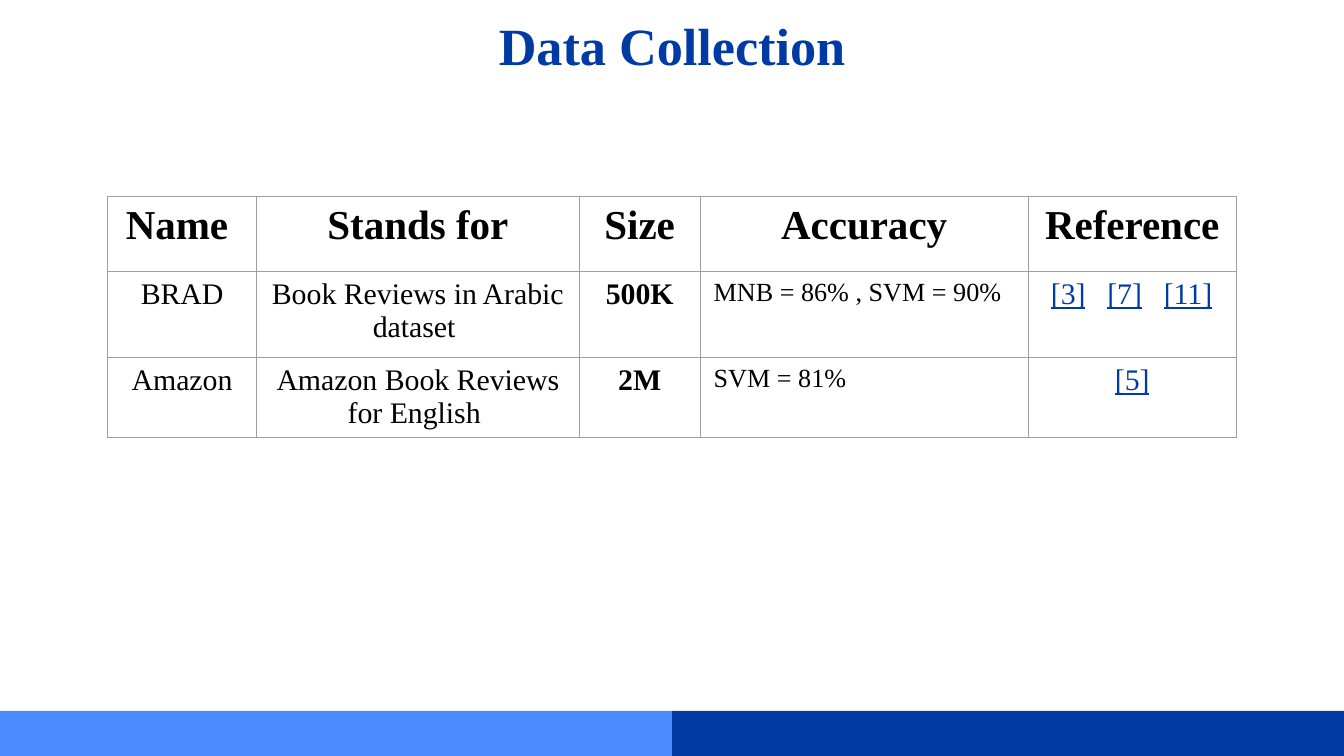
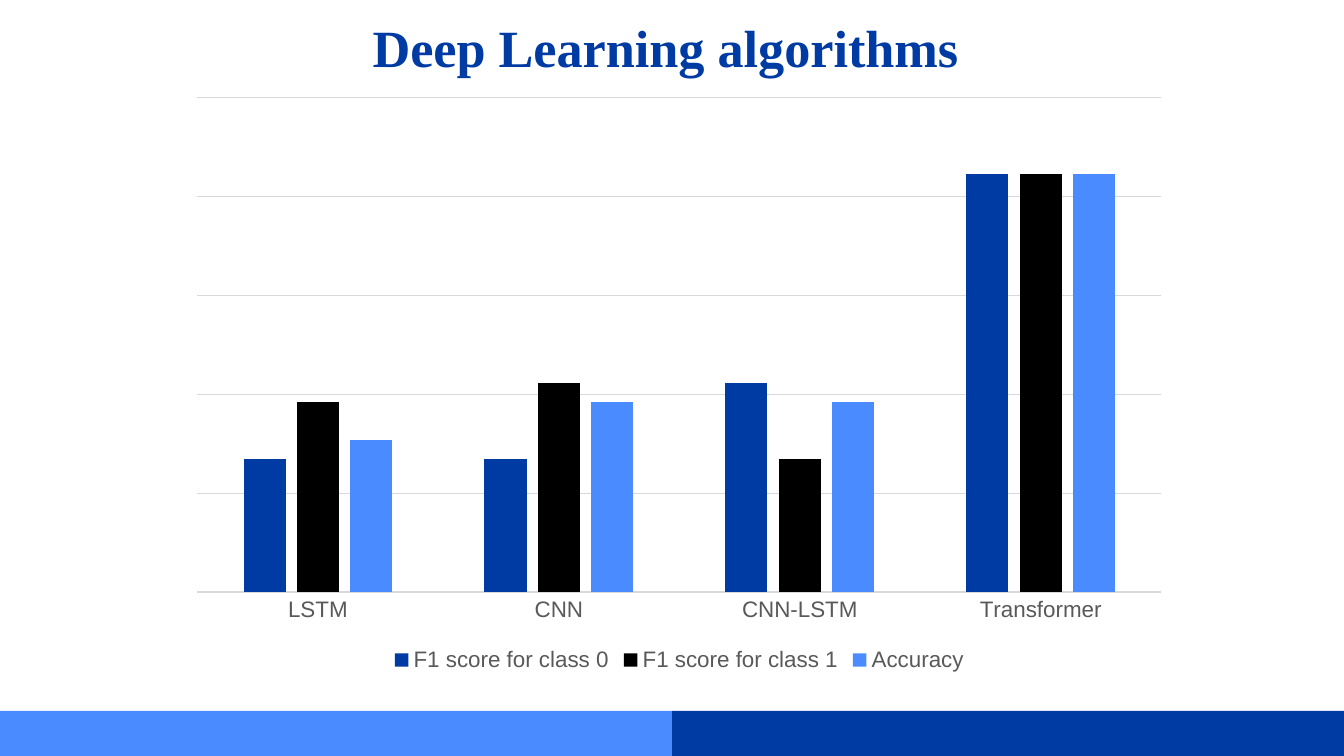
"""Build two slides: a data collection table and a deep learning score chart."""
from pptx import Presentation
from pptx.chart.data import CategoryChartData
from pptx.dml.color import RGBColor
from pptx.enum.chart import XL_CHART_TYPE as ChartType
from pptx.enum.chart import XL_LEGEND_POSITION as LegendPosition
from pptx.enum.chart import XL_TICK_LABEL_POSITION as LabelPosition
from pptx.enum.chart import XL_TICK_MARK as TickMark
from pptx.enum.shapes import MSO_SHAPE as Shape
from pptx.enum.text import MSO_ANCHOR as Anchor
from pptx.enum.text import MSO_AUTO_SIZE as AutoSize
from pptx.enum.text import PP_ALIGN as Align
from pptx.oxml import parse_xml
from pptx.oxml.ns import nsdecls
from pptx.util import Inches, Pt

NAVY = RGBColor(0x00, 0x3B, 0xA3)
SKY = RGBColor(0x4A, 0x8C, 0xFF)
BLACK = RGBColor(0x00, 0x00, 0x00)
LABEL_GRAY = RGBColor(0x59, 0x59, 0x59)
GRID_GRAY = RGBColor(0xD9, 0xD9, 0xD9)
BORDER_GRAY = RGBColor(0x9E, 0x9E, 0x9E)

SERIF = "Times New Roman"
SANS = "Arial"
SLIDE_WIDTH = 10
SLIDE_HEIGHT = SLIDE_WIDTH * 9 / 16
BAND_TOP = 5.29

COLUMN_WIDTHS = [1.11, 2.4, 0.9, 2.44, 1.55]
ROW_HEIGHTS = [0.56, 0.64, 0.55]
HEADERS = ["Name ", "Stands for", "Size", "Accuracy", "Reference"]
DATASETS = [
    ["BRAD", "Book Reviews in Arabic dataset ", "500K",
     "MNB = 86% , SVM = 90%", ["[3]", "[7]", "[11]"]],
    ["Amazon", "Amazon Book Reviews for English ", "2M", "SVM = 81%", ["[5]"]],
]
COLUMN_FORMATS = [
    {"size": 16},
    {"size": 16},
    {"size": 16, "bold": True},
    {"size": 14, "align": Align.LEFT},
]
REFERENCE_STEP = 0.42

ALGORITHMS = ["LSTM", "CNN", "CNN-LSTM", "Transformer"]
SCORES = [
    ("F1 score for class 0", [85, 85, 89, 100], NAVY),
    ("F1 score for class 1", [88, 89, 85, 100], BLACK),
    ("Accuracy", [86, 88, 88, 100], SKY),
]
LOWEST, HIGHEST, GRID_ROWS = 78, 104, 5


def set_font(font, size, color, name=SERIF, bold=False, underline=False):
    """Set every font property the slides use."""
    font.name = name
    font.size = Pt(size)
    font.color.rgb = color
    font.bold = bold
    font.underline = underline


def add_text(paragraph, text, size=16, color=BLACK, bold=False,
             underline=False, align=Align.CENTER):
    """Add a formatted run to a paragraph."""
    paragraph.alignment = align
    run = paragraph.add_run()
    run.text = text
    set_font(run.font, size, color, bold=bold, underline=underline)


def add_bands(slide):
    """Put the two footer bands on the layout of the slide."""
    half = SLIDE_WIDTH / 2
    for left, color in ((half, NAVY), (0, SKY)):
        band = slide.shapes.add_shape(
            Shape.RECTANGLE, Inches(left), Inches(BAND_TOP),
            Inches(half), Inches(SLIDE_HEIGHT - BAND_TOP))
        band.shadow.inherit = False
        band.fill.solid()
        band.fill.fore_color.rgb = color
        band.line.fill.background()
        slide.slide_layout.shapes.element.append(band.element)


def add_title(slide, text, top=0.0):
    """Fill and place the title placeholder."""
    title = slide.shapes.title
    title.left, title.top = Inches(0), Inches(top)
    title.width, title.height = Inches(SLIDE_WIDTH), Inches(0.63)
    frame = title.text_frame
    frame.auto_size = AutoSize.NONE
    frame.word_wrap = True
    frame.vertical_anchor = Anchor.TOP
    frame.margin_left = frame.margin_right = Inches(0.1)
    frame.margin_top = frame.margin_bottom = Inches(0.1)
    add_text(frame.paragraphs[0], text, size=28, color=NAVY, bold=True)


def style_cell(cell):
    """Give a cell thin gray borders and no fill."""
    properties = cell._tc.get_or_add_tcPr()
    for side in ("lnL", "lnR", "lnT", "lnB"):
        properties.append(parse_xml(
            f'<a:{side} {nsdecls("a")} w="{Pt(0.75)}"><a:solidFill>'
            f'<a:srgbClr val="{BORDER_GRAY}"/></a:solidFill></a:{side}>'))
    cell.fill.background()


def add_references(cell, references):
    """Write underlined references, spaced by tab stops when several."""
    paragraph = cell.text_frame.paragraphs[0]
    align = Align.CENTER
    if len(references) > 1:
        align = Align.LEFT
        cell.margin_left = Inches(0.17)
        stops = "".join(
            f'<a:tab pos="{Inches(REFERENCE_STEP * number)}" algn="l"/>'
            for number in range(1, len(references)))
        paragraph._p.get_or_add_pPr().append(
            parse_xml(f'<a:tabLst {nsdecls("a")}>{stops}</a:tabLst>'))
    for index, reference in enumerate(references):
        if index:
            add_text(paragraph, "\t", align=align)
        add_text(paragraph, reference, color=NAVY, underline=True, align=align)


def add_dataset_table(slide):
    """Add the table of datasets."""
    table = slide.shapes.add_table(
        len(ROW_HEIGHTS), len(COLUMN_WIDTHS), Inches(0.8), Inches(1.46),
        Inches(sum(COLUMN_WIDTHS)), Inches(sum(ROW_HEIGHTS))).table
    table.first_row = table.horz_banding = False
    for column, width in zip(table.columns, COLUMN_WIDTHS):
        column.width = Inches(width)
    for row, height in zip(table.rows, ROW_HEIGHTS):
        row.height = Inches(height)
    for cell in table.iter_cells():
        style_cell(cell)
    for column, header in enumerate(HEADERS):
        paragraph = table.cell(0, column).text_frame.paragraphs[0]
        add_text(paragraph, header, size=22, bold=True)
    for row, (*texts, references) in enumerate(DATASETS, start=1):
        for column, (text, style) in enumerate(zip(texts, COLUMN_FORMATS)):
            paragraph = table.cell(row, column).text_frame.paragraphs[0]
            add_text(paragraph, text, **style)
        add_references(table.cell(row, len(texts)), references)


def style_line(line, color):
    """Draw a chart line thin and in one colour."""
    line.color.rgb = color
    line.width = Pt(0.75)


def add_score_chart(slide):
    """Add the clustered column chart of scores."""
    data = CategoryChartData()
    data.categories = ALGORITHMS
    for name, values, _ in SCORES:
        data.add_series(name, values)
    chart = slide.shapes.add_chart(
        ChartType.COLUMN_CLUSTERED, Inches(1.32), Inches(0.64),
        Inches(7.47), Inches(4.4), data).chart
    chart.has_title = False
    set_font(chart.font, 10, BLACK, name=SANS)

    plot = chart.plots[0]
    plot.gap_width, plot.overlap = 219, -27
    plot.vary_by_categories = False
    for series, (_, _, color) in zip(plot.series, SCORES):
        series.format.fill.solid()
        series.format.fill.fore_color.rgb = color

    category_axis = chart.category_axis
    category_axis.major_tick_mark = TickMark.NONE
    category_axis.minor_tick_mark = TickMark.NONE
    category_axis.tick_label_position = LabelPosition.NEXT_TO_AXIS
    set_font(category_axis.tick_labels.font, 12, LABEL_GRAY, name=SANS)
    style_line(category_axis.format.line, GRID_GRAY)

    value_axis = chart.value_axis
    value_axis.minimum_scale, value_axis.maximum_scale = LOWEST, HIGHEST
    value_axis.major_unit = (HIGHEST - LOWEST) / GRID_ROWS
    value_axis.has_major_gridlines = True
    style_line(value_axis.major_gridlines.format.line, GRID_GRAY)
    value_axis.major_tick_mark = TickMark.NONE
    value_axis.minor_tick_mark = TickMark.NONE
    value_axis.visible = False

    chart.has_legend = True
    chart.legend.position = LegendPosition.BOTTOM
    chart.legend.include_in_layout = False
    set_font(chart.legend.font, 12, LABEL_GRAY, name=SANS)


def main():
    """Build and save the presentation."""
    presentation = Presentation()
    presentation.slide_width = Inches(SLIDE_WIDTH)
    presentation.slide_height = Inches(SLIDE_HEIGHT)
    layout = presentation.slide_layouts.get_by_name("Title Only")

    data_slide = presentation.slides.add_slide(layout)
    add_bands(data_slide)
    add_title(data_slide, "Data Collection")
    add_dataset_table(data_slide)

    score_slide = presentation.slides.add_slide(layout)
    add_title(score_slide, "Deep Learning algorithms ", top=0.01)
    add_score_chart(score_slide)

    presentation.save("out.pptx")


if __name__ == "__main__":
    main()
